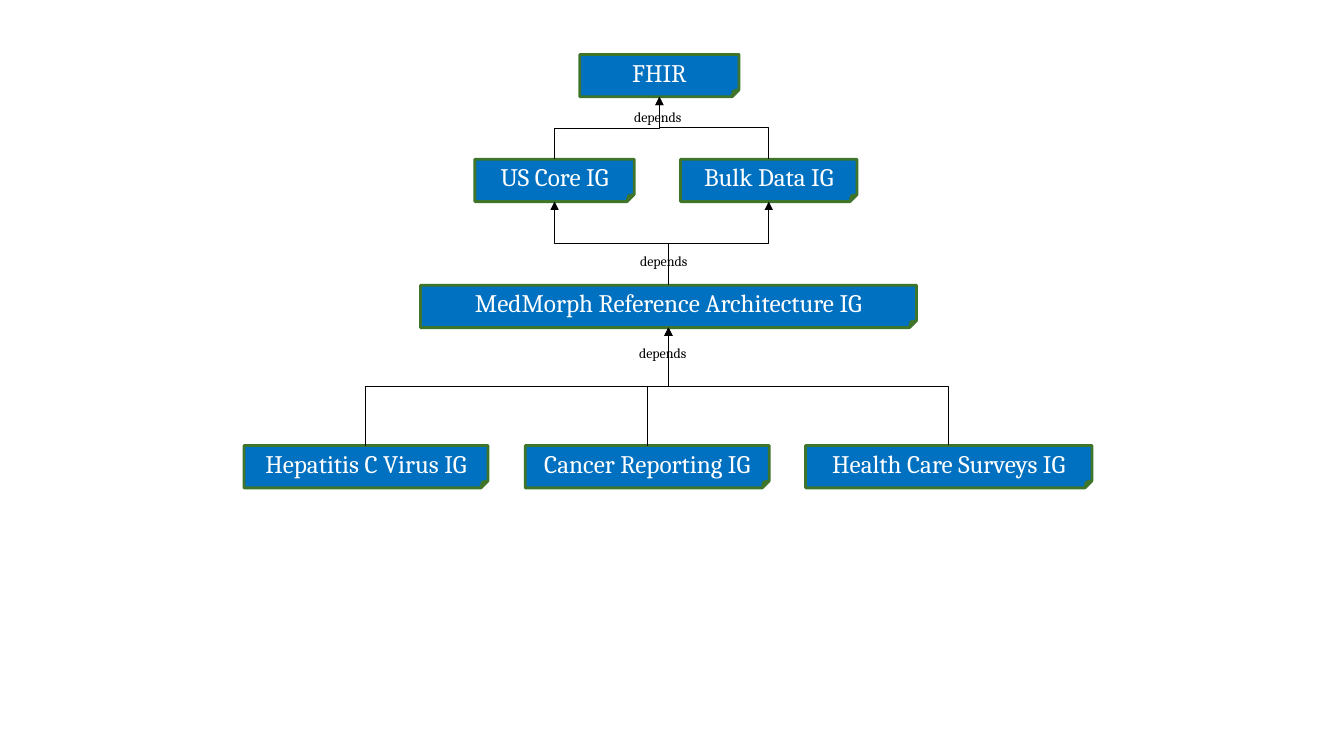
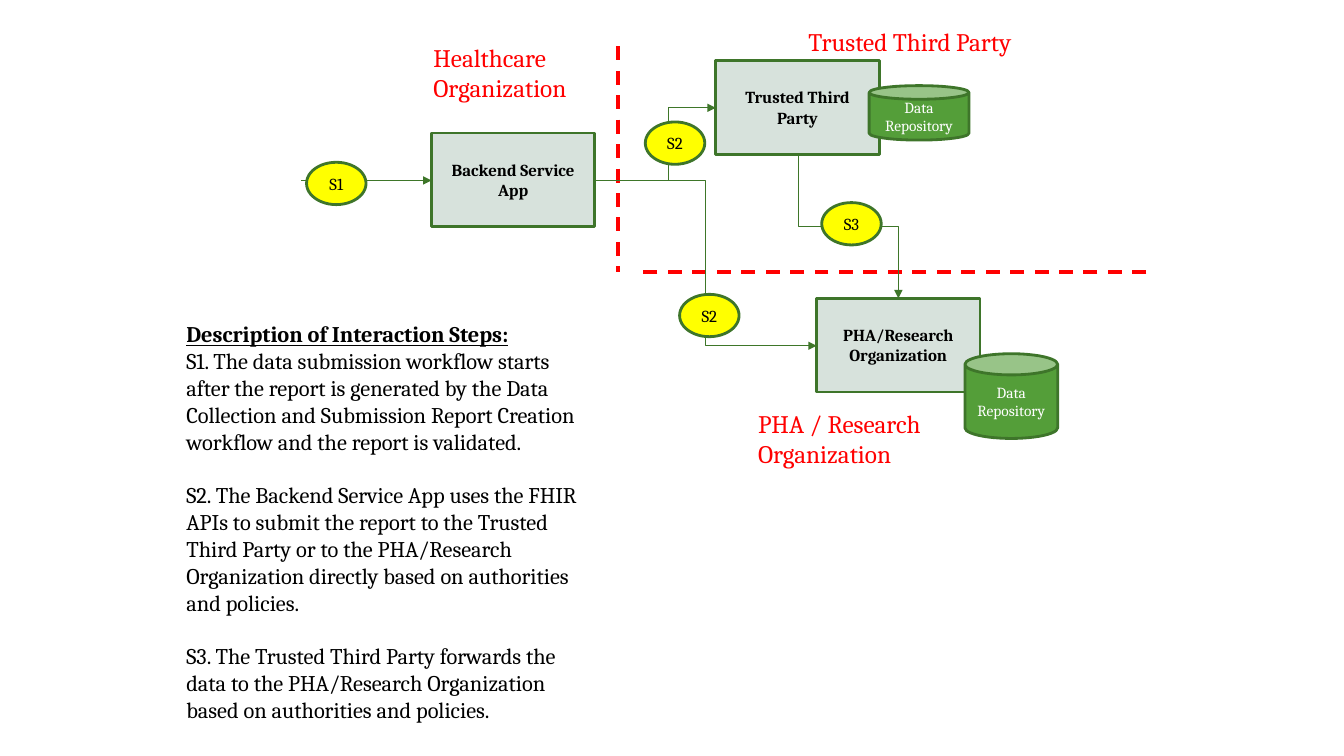
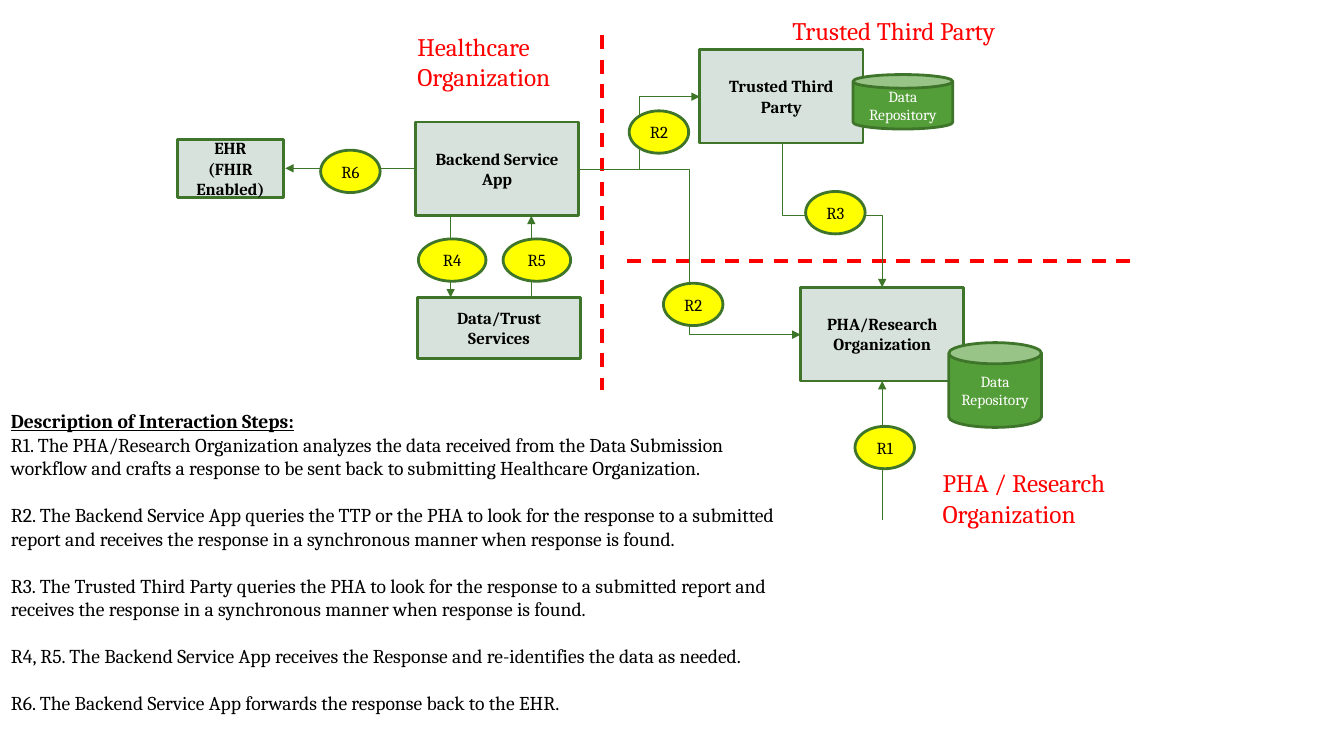
"""Build three slides on guide dependencies, data submission and response flows."""
import lxml.etree
import pptx
import pptx.dml.color
import pptx.enum.dml
import pptx.enum.shapes
import pptx.enum.text
import pptx.oxml.ns
import pptx.util

Inches = pptx.util.Inches
KIND = pptx.enum.shapes.MSO_SHAPE
WIRE = pptx.enum.shapes.MSO_CONNECTOR
qn = pptx.oxml.ns.qn


class Theme:
    font = "Cambria"
    black, white, red = "000000", "FFFFFF", "FF0000"
    edge, flow = "3E752A", "3E7629"
    border, thin, thick = 2, 0.75, 2.5
    small, label, leading = 10, 18, 1.19


STYLES = {
    "guide": (KIND.FOLDED_CORNER, "0070C0", Theme.white, 18, False),
    "actor": (KIND.RECTANGLE, "D7E2DC", Theme.black, 12, True),
    "step": (KIND.OVAL, "FFFF00", Theme.black, 12, False),
    "store": (KIND.CAN, "549E39", Theme.white, 11, False),
}

HIGH = 0.42
GUIDES = {
    "FHIR": (5.75, 0.54, 1.58),
    "US Core IG": (4.71, 1.58, 1.58),
    "Bulk Data IG": (6.75, 1.58, 1.75),
    "MedMorph Reference Architecture IG": (4.17, 2.83, 4.92),
    "Hepatitis C Virus IG": (2.42, 4.42, 2.42),
    "Cancer Reporting IG": (5.21, 4.42, 2.42),
    "Health Care Surveys IG": (7.99, 4.42, 2.84),
}
NEEDS = [
    ("US Core IG", "FHIR"),
    ("Bulk Data IG", "FHIR"),
    ("MedMorph Reference Architecture IG", "US Core IG"),
    ("MedMorph Reference Architecture IG", "Bulk Data IG"),
    ("Hepatitis C Virus IG", "MedMorph Reference Architecture IG"),
    ("Cancer Reporting IG", "MedMorph Reference Architecture IG"),
    ("Health Care Surveys IG", "MedMorph Reference Architecture IG"),
]
DEPENDS = [(6.19, 1.03), (6.25, 2.46), (6.24, 3.37)]

ACTORS = [
    ("Backend Service App", 4.28, 1.32),
    ("Trusted Third Party", 7.1, 0.6),
    ("PHA/Research Organization", 8.1, 2.96),
]
ACTOR = (1.62, 0.93)
STORES = [(9.57, 3.51, 0.92, 0.84), (8.62, 0.85, 0.99, 0.54)]
STEPS = [(2, 6.4, 1.21), (2, 6.74, 2.92), (3, 8.15, 2.01)]
STEP = (0.59, 0.42)
ZONES = [
    ("Healthcare Organization", 4.2, 0.37, 1.71, 0.71),
    ("Trusted Third Party", 7.92, 0.21, 2.98, 0.4),
]
PARTNER = "PHA / Research Organization"
HEADING = "Description of Interaction Steps:"

SUBMIT = {
    "shift": (0, 0), "letter": "S", "bend": 0.61, "bottom": 2.7,
    "partner": (7.42, 4, 2.98, 0.71),
    "actors": [],
    "arrows": [(2.99, 1.79, 4.28, 1.79)],
    "steps": [("S1", 3.04, 1.61, *STEP)],
    "notes": (1.75, 3.13, 4.19, 4.68), "size": 16,
    "lines": [
        "S1. The data submission workflow starts after the report is generated by the Data Collection and Submission Report Creation workflow and the report is validated.",
        "S2. The Backend Service App uses the FHIR APIs to submit the report to the Trusted Third Party or to the PHA/Research Organization directly based on authorities and policies.",
        "S3. The Trusted Third Party forwards the data to the PHA/Research Organization based on authorities and policies.",
    ],
}
RESPOND = {
    "shift": (-0.16, -0.11), "letter": "R", "bend": 0.5, "bottom": 3.87,
    "partner": (9.25, 4.59, 2.98, 0.71),
    "actors": [
        ("EHR\n(FHIR Enabled)", 1.76, 1.38, 1.05, 0.58),
        ("Data/Trust Services", 4.14, 2.95, 1.62, 0.61),
    ],
    "arrows": [
        (4.12, 1.67, 2.83, 1.67),
        (8.75, 5.16, 8.75, 3.78),
        (4.47, 2.14, 4.47, 2.95),
        (5.27, 2.95, 5.27, 2.14),
    ],
    "steps": [
        ("R6", 3.18, 1.49, *STEP),
        ("R1", 8.48, 4.23, *STEP),
        ("R4", 4.15, 2.37, 0.67, 0.42),
        ("R5", 4.99, 2.37, 0.67, 0.42),
    ],
    "notes": (0.01, 4.01, 7.98, 3.87), "size": 14,
    "lines": [
        "R1. The PHA/Research Organization analyzes the data received from the Data Submission workflow and crafts a response to be sent back to submitting Healthcare Organization.",
        "R2. The Backend Service App queries the TTP or the PHA to look for the response to a submitted report and receives the response in a synchronous manner when response is found.",
        "R3. The Trusted Third Party queries the PHA to look for the response to a submitted report and receives the response in a synchronous manner when response is found.",
        "R4, R5. The Backend Service App receives the Response and re-identifies the data as needed.",
        "R6. The Backend Service App forwards the response back to the EHR.",
    ],
}


def tint(code):
    return pptx.dml.color.RGBColor.from_string(code)


def write(frame, text, size, color, bold=False, align=None):
    frame.text = text
    for para in frame.paragraphs:
        para.alignment = align
        for run in para.runs:
            run.font.name = Theme.font
            run.font.size = pptx.util.Pt(size)
            run.font.bold = bold
            run.font.color.rgb = tint(color)


def node(slide, style, text, *box):
    kind, fill, color, size, bold = STYLES[style]
    shape = slide.shapes.add_shape(kind, *map(Inches, box))
    shape.shadow.inherit = False
    shape.fill.solid()
    shape.fill.fore_color.rgb = tint(fill)
    shape.line.color.rgb = tint(Theme.edge)
    shape.line.width = pptx.util.Pt(Theme.border)
    frame = shape.text_frame
    frame.word_wrap = True
    frame.vertical_anchor = pptx.enum.text.MSO_ANCHOR.MIDDLE
    write(frame, text, size, color, bold, pptx.enum.text.PP_ALIGN.CENTER)


def label(slide, text, box, size, color, wrap=True):
    frame = slide.shapes.add_textbox(*map(Inches, box)).text_frame
    frame.word_wrap = wrap
    frame.auto_size = pptx.enum.text.MSO_AUTO_SIZE.SHAPE_TO_FIT_TEXT
    write(frame, text, size, color)
    return frame


def wire(slide, ends, color, width=Theme.thin, kind=WIRE.STRAIGHT, arrow=True):
    link = slide.shapes.add_connector(kind, *map(Inches, ends))
    link.line.color.rgb = tint(color)
    link.line.width = pptx.util.Pt(width)
    props = link._element.spPr
    lxml.etree.SubElement(props, qn("a:effectLst"))
    if arrow:
        tip = lxml.etree.SubElement(props.find(qn("a:ln")), qn("a:tailEnd"))
        tip.set("type", "triangle")
    return link


def across(slide, ends, bend, color):
    link = wire(slide, ends, color, kind=WIRE.ELBOW)
    geom = link._element.spPr.find(qn("a:prstGeom"))
    guides = geom.find(qn("a:avLst"))
    if guides is None:
        guides = lxml.etree.SubElement(geom, qn("a:avLst"))
    guide = lxml.etree.SubElement(guides, qn("a:gd"))
    guide.set("name", "adj1")
    guide.set("fmla", f"val {round(bend * 100000)}")


def upright(slide, ends, color):
    left, top, right, low = ends
    midx, midy = (left + right) / 2, (top + low) / 2
    halfx, halfy = abs(low - top) / 2, abs(right - left) / 2
    down = low > top
    if down == (right > left):
        halfy = -halfy
    turned = midx - halfx, midy - halfy, midx + halfx, midy + halfy
    link = wire(slide, turned, color, kind=WIRE.ELBOW)
    frame = link._element.spPr.find(qn("a:xfrm"))
    frame.set("rot", str((90 if down else 270) * 60000))


def border(slide, ends):
    link = wire(slide, ends, Theme.red, Theme.thick, arrow=False)
    link.line.dash_style = pptx.enum.dml.MSO_LINE.DASH


def notes(slide, data):
    size = data["size"]
    text = "\n".join([HEADING, *data["lines"]])
    frame = label(slide, text, data["notes"], size, Theme.black)
    head, *body = frame.paragraphs
    head.runs[0].font.bold = True
    head.runs[0].font.underline = True
    for para in body[:-1]:
        para.space_after = pptx.util.Pt(round(size * Theme.leading, 1))


def tree(slide):
    for name, (left, top, wide) in GUIDES.items():
        node(slide, "guide", name, left, top, wide, HIGH)
    for child, base in NEEDS:
        left, top, wide = GUIDES[child]
        over, roof, span = GUIDES[base]
        ends = left + wide / 2, top, over + span / 2, roof + HIGH
        upright(slide, ends, Theme.black)
    for spot in DEPENDS:
        label(slide, "depends", (*spot, 0.71, 0.27), Theme.small, Theme.black, False)


def process(slide, data):
    movex, movey = data["shift"]

    def move(left, top, *rest):
        return left + movex, top + movey, *rest

    def span(left, top, right, low):
        return *move(left, top), *move(right, low)

    for name, left, top in ACTORS:
        node(slide, "actor", name, *move(left, top, *ACTOR))
    for actor in data["actors"]:
        node(slide, "actor", *actor)
    for name, *box in ZONES:
        label(slide, name, move(*box), Theme.label, Theme.red)
    label(slide, PARTNER, data["partner"], Theme.label, Theme.red)
    edge, top = move(6.13, 0.46)
    border(slide, (edge, top, edge, data["bottom"]))
    border(slide, span(11.37, 2.7, 6.3, 2.7))
    across(slide, span(5.9, 1.79, 7.1, 1.07), data["bend"], Theme.flow)
    across(slide, span(5.9, 1.79, 8.1, 3.43), 0.5, Theme.flow)
    upright(slide, span(7.92, 1.53, 8.91, 2.96), Theme.flow)
    for ends in data["arrows"]:
        wire(slide, ends, Theme.flow)
    for box in STORES:
        node(slide, "store", "Data Repository", *move(*box))
    for count, left, top in STEPS:
        node(slide, "step", f"{data['letter']}{count}", *move(left, top, *STEP))
    for step in data["steps"]:
        node(slide, "step", *step)
    notes(slide, data)


deck = pptx.Presentation()
deck.slide_width, deck.slide_height = Inches(13.33), Inches(7.5)
blank = deck.slide_layouts[6]
tree(deck.slides.add_slide(blank))
for data in (SUBMIT, RESPOND):
    process(deck.slides.add_slide(blank), data)
deck.save("out.pptx")
